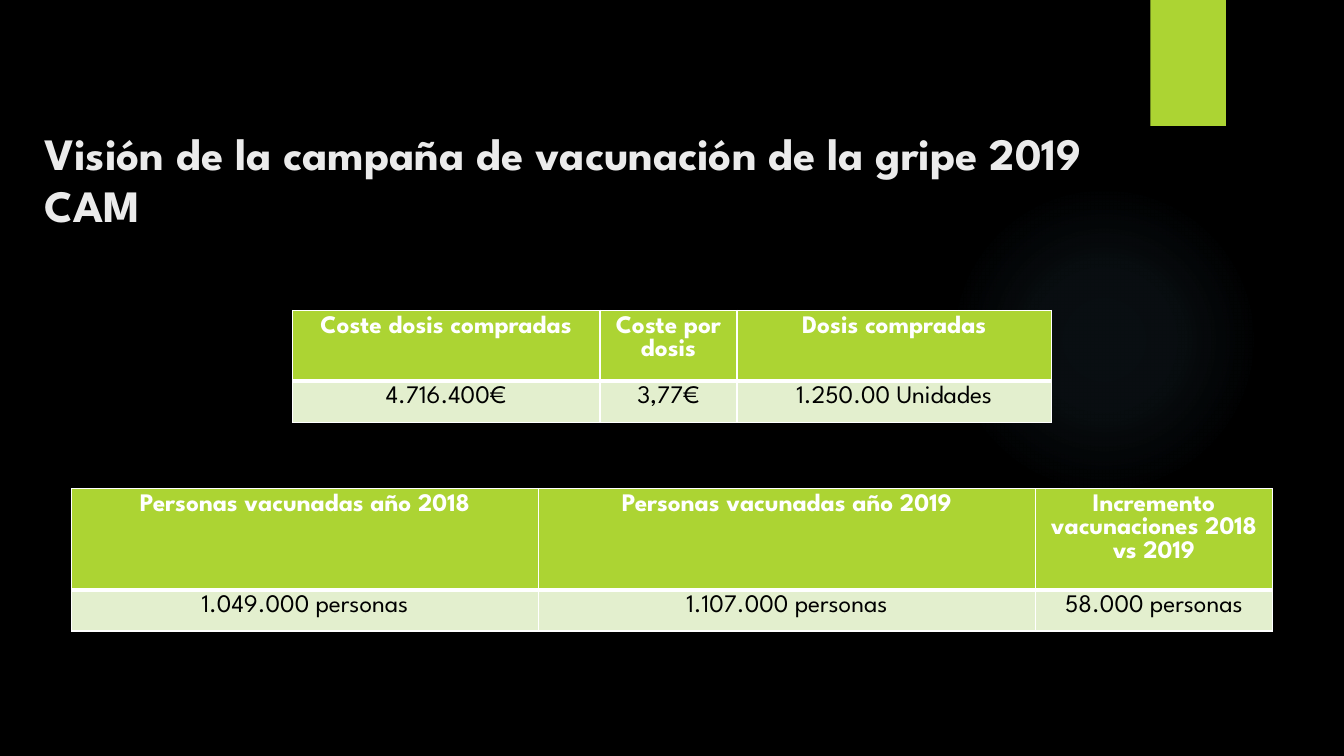
from dataclasses import dataclass

from lxml import etree
from pptx import Presentation
from pptx.dml.color import RGBColor
from pptx.enum.shapes import MSO_SHAPE
from pptx.enum.text import MSO_ANCHOR, PP_ALIGN
from pptx.oxml import parse_xml
from pptx.oxml.ns import qn
from pptx.util import Pt

PX = 9144  # EMU per px, 100 px to the inch
RECT, OVAL = MSO_SHAPE.RECTANGLE, MSO_SHAPE.OVAL
TOP, CENTER = MSO_ANCHOR.TOP, PP_ALIGN.CENTER
A_NS = "http://schemas.openxmlformats.org/drawingml/2006/main"


@dataclass(frozen=True)
class Theme:
    font: str = "League Spartan"
    background: str = "000000"
    accent: str = "ACD433"
    glow: str = "7AC4F0"
    title: str = "EBEBEB"
    header_text: str = "FFFFFF"
    body_text: str = "000000"
    body_fill: str = "E3EFCE"
    border: str = "FFFFFF"
    title_size: int = 32
    title_leading: int = 37
    table_size: int = 18


theme = Theme()


def add_text(p, text, size, color, bold):
    r = p.add_run()
    r.text = text
    r.font.name = theme.font
    r.font.size = Pt(size)
    r.font.bold = bold
    r.font.color.rgb = RGBColor.from_string(color)


def set_borders(cell, widths):
    """Draw cell borders; widths maps L, R, T and B, in that order, to points."""
    tc_pr = cell._tc.get_or_add_tcPr()
    for side, width in widths.items():
        ln = etree.SubElement(tc_pr, qn(f"a:ln{side}"), w=str(Pt(width)))
        fill = etree.SubElement(ln, qn("a:solidFill"))
        etree.SubElement(fill, qn("a:srgbClr"), val=theme.border)


prs = Presentation()
prs.slide_width, prs.slide_height = 1333 * PX, 750 * PX
s = prs.slides.add_slide(prs.slide_layouts[6])
s.background.fill.solid()
s.background.fill.fore_color.rgb = RGBColor.from_string(theme.background)

# Soft glow
glow = s.shapes.add_shape(OVAL, 941 * PX, 183 * PX, 308 * PX, 308 * PX)
glow.shadow.inherit = False
glow.line.fill.background()
stops = "".join(
    f'<a:gs pos="{pos * 1000}"><a:srgbClr val="{theme.glow}">'
    f'<a:alpha val="{alpha * 1000}"/></a:srgbClr></a:gs>'
    for pos, alpha in [(0, 7), (36, 6), (69, 0), (100, 0)]
)
gradient = parse_xml(
    f'<a:gradFill xmlns:a="{A_NS}" rotWithShape="1"><a:gsLst>{stops}</a:gsLst>'
    '<a:path path="circle"><a:fillToRect l="50000" t="50000" r="50000" b="50000"/>'
    "</a:path></a:gradFill>"
)
glow._element.spPr.find(qn("a:prstGeom")).addnext(gradient)

# Accent tab
tab = s.shapes.add_shape(RECT, 1141 * PX, 0, 75 * PX, 125 * PX)
tab.shadow.inherit = False
tab.fill.solid()
tab.fill.fore_color.rgb = RGBColor.from_string(theme.accent)
tab.line.fill.background()

# Title
title = s.shapes.add_textbox(34 * PX, 127 * PX, 1203 * PX, 110 * PX)
tf = title.text_frame
tf.word_wrap = True
tf.vertical_anchor = TOP
tf.margin_top = tf.margin_bottom = 0
p = tf.paragraphs[0]
p.line_spacing = Pt(theme.title_leading)
title_style = (theme.title_size, theme.title, True)
add_text(p, "Visión de la campaña de vacunación de la gripe 2019", *title_style)
p.add_line_break()
add_text(p, "CAM", *title_style)

# Tables: left, top, column widths, row heights, rows
tables = [
    (290, 308, [305, 136, 312], [56, 41], [
        ["Coste dosis compradas", "Coste por dosis", "Dosis compradas"],
        ["4.716.400€", "3,77€", "1.250.00 Unidades"],
    ]),
    (71, 485, [463, 493, 235], [79, 41], [
        ["Personas vacunadas año 2018", "Personas vacunadas año 2019",
         "Incremento vacunaciones 2018 vs 2019"],
        ["1.049.000 personas", "1.107.000 personas", "58.000 personas"],
    ]),
]
# Row styles: fill, text colour, bold, borders
row_styles = [
    (theme.accent, theme.header_text, True, {"L": 1, "R": 1, "T": 1, "B": 3}),
    (theme.body_fill, theme.body_text, False, {"L": 1, "R": 1, "T": 3, "B": 1}),
]
for left, top, widths, heights, rows in tables:
    frame = s.shapes.add_table(len(rows), len(widths), left * PX, top * PX,
                               sum(widths) * PX, sum(heights) * PX)
    table = frame.table
    table.horz_banding = False
    for column, width in zip(table.columns, widths):
        column.width = width * PX
    for row, height, texts, style in zip(table.rows, heights, rows, row_styles):
        row.height = height * PX
        fill, color, bold, borders = style
        for cell, text in zip(row.cells, texts):
            set_borders(cell, borders)
            cell.fill.solid()
            cell.fill.fore_color.rgb = RGBColor.from_string(fill)
            p = cell.text_frame.paragraphs[0]
            p.alignment = CENTER
            add_text(p, text, theme.table_size, color, bold)

prs.save("out.pptx")
